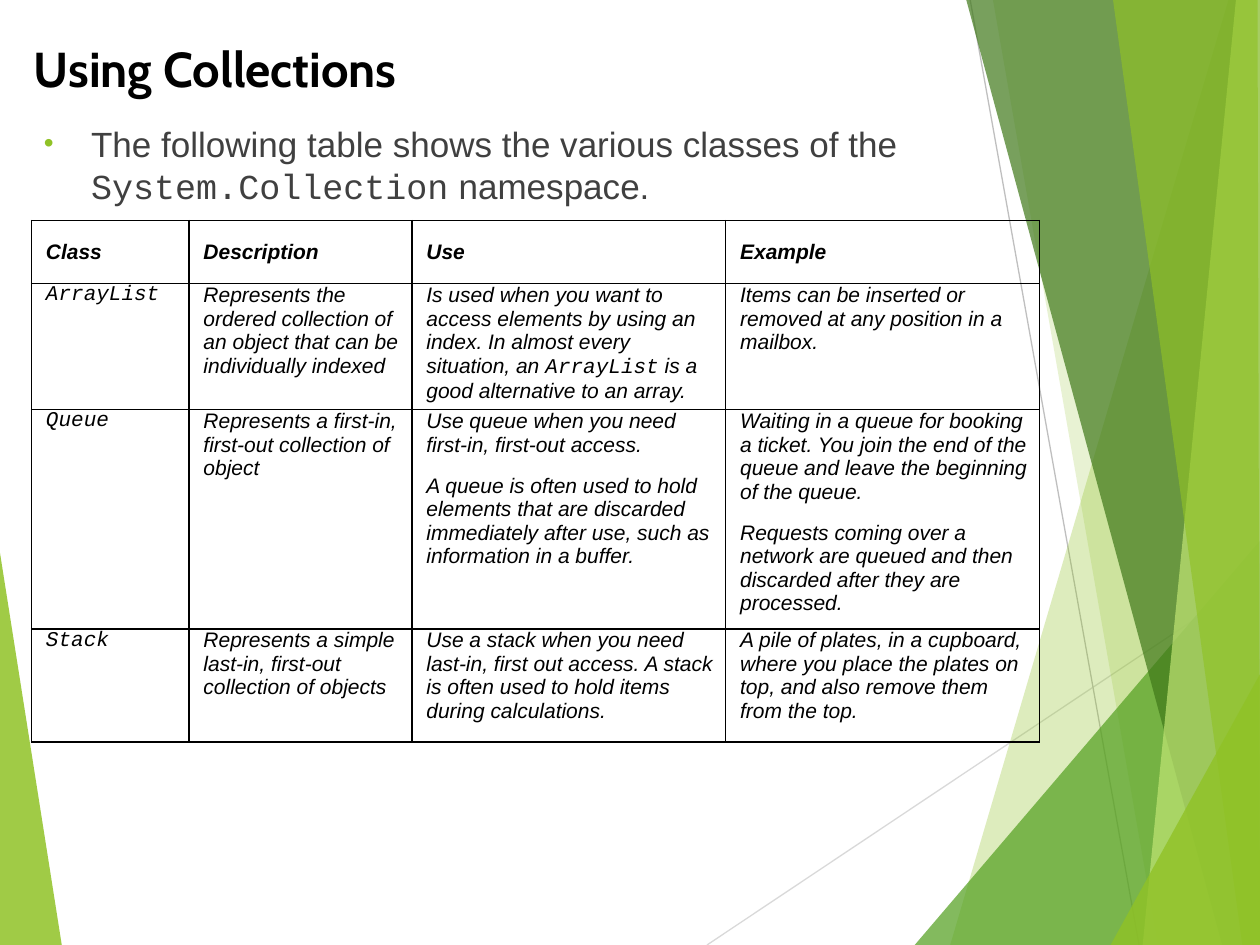
from dataclasses import dataclass

from lxml.etree import SubElement
from pptx import Presentation
from pptx.dml.color import RGBColor
from pptx.enum.shapes import MSO_CONNECTOR
from pptx.enum.text import MSO_ANCHOR
from pptx.oxml.ns import qn
from pptx.util import Pt


@dataclass(frozen=True)
class Theme:
    ink: str = "000000"
    body: str = "404040"
    lime: str = "90C226"
    green: str = "54A021"
    forest: str = "3F7819"
    pale: str = "C0E474"
    hairline: str = "D9D9D9"
    rule: str = "BFBFBF"
    heading: str = "Cabin"
    sans: str = "Arial"
    mono: str = "Courier New"
    title_size: int = 28
    body_size: int = 20
    cell_size: int = 12


T = Theme()
W, H = 720, 540

# Each facet: colour, opacity in percent, corner points
LEFT_FACET = (T.lime, 85, [(0, 316), (35.3, H), (0, H)])
RIGHT_FACETS = [
    (T.lime, 30, [(702, 0), (543, H), (W, H), (W, 0)]),
    (T.lime, 20, [(567.4, 0), (661.7, H), (W, H), (W, 0)]),
    (T.green, 72, [(522.7, H), (W, 309), (W, H)]),
    (T.forest, 70, [(552.2, 0), (698.4, H), (W, H), (W, 0)]),
    (T.pale, 70, [(706.3, 0), (653, H), (W, H), (W, 0)]),
    (T.lime, 65, [(636, 0), (709.9, H), (W, H), (718.6, 0)]),
    (T.lime, 80, [(634.6, H), (W, 385.2), (W, H)]),
]
RULES = [
    (T.hairline, (404, H), (W, 329)),
    (T.rule, (554.4, 0), (650.9, H)),
]

# A cell is a list of paragraphs, a paragraph a list of runs; `code` marks mono text
def code(text):
    return (text, T.mono)


HEADER = ["Class", "Description", "Use", "Example"]
ROWS = [
    [[[code("ArrayList")]],
     [["Represents the ordered collection of an object that can be individually indexed"]],
     [["Is used when you want to access elements by using an index. In almost every situation, an ",
       code("ArrayList"), " is a good alternative to an array."]],
     [["Items can be inserted or removed at any position in a mailbox."]]],
    [[[code("Queue")]],
     [["Represents a first-in, first-out collection of object"]],
     [["Use queue when you need first-in, first-out access."],
      ["A queue is often used to hold elements that are discarded immediately after use, "
       "such as information in a buffer."]],
     [["Waiting in a queue for booking a ticket. You join the end of the queue and leave "
       "the beginning of the queue."],
      ["Requests coming over a network are queued and then discarded after they are processed."]]],
    [[[code("Stack")]],
     [["Represents a simple\nlast-in, first-out collection of objects"]],
     [["Use a stack when you need last-in, first out access. A stack is often used to hold "
       "items during calculations."]],
     [["A pile of plates, in a cupboard, where you place the plates on top, and also remove "
       "them from the top."]]],
]
COLUMN_WIDTHS = [90, 127.4, 179.3, 179.3]
ROW_HEIGHTS = [36, 72, 125.3, 64.8]


def add_runs(p, runs, size, color, bold=False, italic=False):
    """Add plain strings in the sans font and (text, font) pairs in their own."""
    for run in runs:
        text, face = (run, T.sans) if isinstance(run, str) else run
        for i, line in enumerate(text.split("\n")):
            if i:
                p.add_line_break()
            r = p.add_run()
            r.text = line
            r.font.name = face
            r.font.size = Pt(size)
            r.font.bold = bold
            r.font.italic = italic
            r.font.color.rgb = RGBColor.from_string(color)


def add_facet(slide, color, opacity, corners):
    points = [(Pt(x), Pt(y)) for x, y in corners]
    builder = slide.shapes.build_freeform(*points[0])
    builder.add_line_segments(points[1:], close=True)
    sp = builder.convert_to_shape()
    sp.shadow.inherit = False
    sp.line.fill.background()
    sp.fill.solid()
    sp.fill.fore_color.rgb = RGBColor.from_string(color)
    rgb = sp.fill._xPr.find(".//" + qn("a:srgbClr"))
    SubElement(rgb, qn("a:alpha"), val=str(opacity * 1000))


def add_rule(slide, color, start, end):
    line = slide.shapes.add_connector(MSO_CONNECTOR.STRAIGHT, *map(Pt, start + end))
    line.line.color.rgb = RGBColor.from_string(color)
    line.line.width = Pt(0.75)
    SubElement(line._element.spPr, qn("a:effectLst"))


def add_backdrop(slide):
    add_facet(slide, *LEFT_FACET)
    for rule in RULES:
        add_rule(slide, *rule)
    for facet in RIGHT_FACETS:
        add_facet(slide, *facet)


def add_text_frame(slide, box):
    tf = slide.shapes.add_textbox(*map(Pt, box)).text_frame
    tf.word_wrap = True
    return tf


def add_title(slide, box):
    p = add_text_frame(slide, box).paragraphs[0]
    add_runs(p, [("Using Collections", T.heading)], T.title_size, T.ink, bold=True)


def add_intro(slide, box):
    p = add_text_frame(slide, box).paragraphs[0]
    pPr = p._p.get_or_add_pPr()
    pPr.set("marL", str(Pt(27)))
    pPr.set("indent", str(-Pt(27)))
    SubElement(SubElement(pPr, qn("a:buClr")), qn("a:srgbClr"), val=T.lime)
    SubElement(pPr, qn("a:buSzPct"), val="80000")
    SubElement(pPr, qn("a:buFont"), typeface=T.sans)
    SubElement(pPr, qn("a:buChar"), char="•")
    add_runs(p, ["The following table shows the various classes of the ",
                 code("System.Collection"), " namespace."], T.body_size, T.body)


def style_cell(cell, anchor):
    """Set margins, a thin border on all sides and no fill."""
    cell.margin_left, cell.margin_right = Pt(8.3), Pt(5)
    cell.margin_top = cell.margin_bottom = 0
    cell.vertical_anchor = anchor
    tcPr = cell._tc.get_or_add_tcPr()
    for side in ("lnL", "lnR", "lnT", "lnB"):
        ln = SubElement(tcPr, qn("a:" + side), w=str(Pt(1)))
        SubElement(SubElement(ln, qn("a:solidFill")), qn("a:srgbClr"), val=T.ink)
    cell.fill.background()


def add_class_table(slide, box):
    grid = [[[[name]] for name in HEADER]] + ROWS
    table = slide.shapes.add_table(len(grid), len(HEADER), *map(Pt, box)).table
    table.first_row = table.horz_banding = False
    for column, width in zip(table.columns, COLUMN_WIDTHS):
        column.width = Pt(width)
    for r, (row, height) in enumerate(zip(grid, ROW_HEIGHTS)):
        table.rows[r].height = Pt(height)
        is_header = r == 0
        for c, paragraphs in enumerate(row):
            cell = table.cell(r, c)
            style_cell(cell, MSO_ANCHOR.MIDDLE if is_header else MSO_ANCHOR.TOP)
            tf = cell.text_frame
            for i, runs in enumerate(paragraphs):
                p = tf.add_paragraph() if i else tf.paragraphs[0]
                if i:
                    p.space_before = Pt(6)
                p.space_after = Pt(3 if is_header else 4)
                add_runs(p, runs, T.cell_size, T.ink, bold=is_header, italic=True)


def main():
    prs = Presentation()
    prs.slide_width, prs.slide_height = Pt(W), Pt(H)
    slide = prs.slides.add_slide(prs.slide_layouts[6])
    add_backdrop(slide)
    add_title(slide, (12.3, 18.7, 689, 41))
    add_intro(slide, (18, 66.2, 576, 360))
    add_class_table(slide, (18, 126, sum(COLUMN_WIDTHS), sum(ROW_HEIGHTS)))
    prs.save("out.pptx")


if __name__ == "__main__":
    main()
